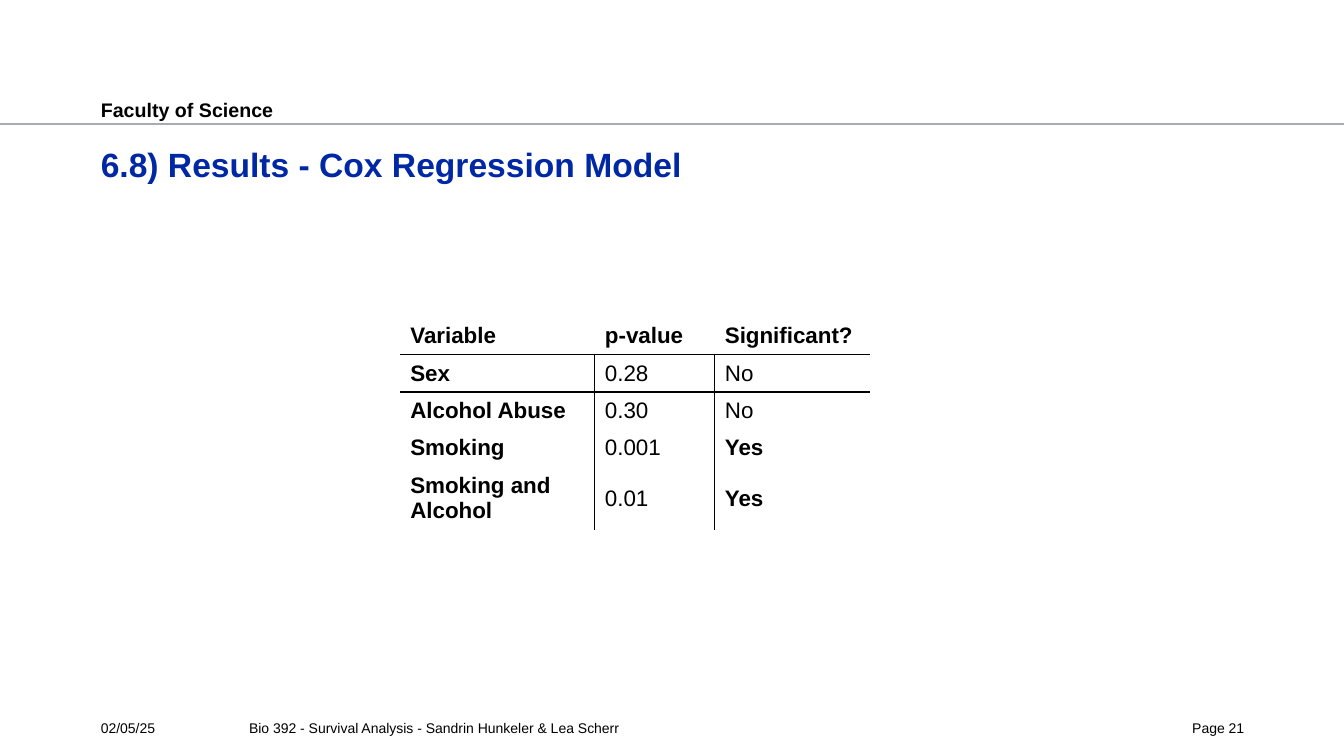
from pptx import Presentation
from pptx.dml.color import RGBColor
from pptx.enum.shapes import MSO_CONNECTOR
from pptx.enum.text import MSO_ANCHOR, PP_ALIGN
from pptx.oxml.ns import qn
from pptx.util import Inches, Pt
from lxml.etree import SubElement

COLORS = {"text": "000000", "title": "0028A5", "rule": "A3ADB7"}
FONT = "Arial"
NO_STYLE = "{2D5ABB26-0587-4C30-8999-92F81FD0307C}"


def add_run(paragraph, text, size, bold=False, color="text"):
    run = paragraph.add_run()
    run.text = text
    run.font.name = FONT
    run.font.size = Pt(size)
    run.font.bold = bold
    run.font.color.rgb = RGBColor.from_string(COLORS[color])


def add_border(cell, side):
    """Draw a 1 pt line on one side (L, R, T or B) of a table cell."""
    border = SubElement(cell._tc.get_or_add_tcPr(), qn(f"a:ln{side}"), w=str(Pt(1)))
    fill = SubElement(border, qn("a:solidFill"))
    SubElement(fill, qn("a:srgbClr"), val=COLORS["text"])


prs = Presentation()
prs.slide_width, prs.slide_height = Inches(13.33), Inches(7.5)
slide = prs.slides.add_slide(prs.slide_layouts[6])

# Header rule
header_rule = slide.shapes.add_connector(
    MSO_CONNECTOR.STRAIGHT, 0, Inches(1.23), prs.slide_width, Inches(1.23))
header_rule.line.color.rgb = RGBColor.from_string(COLORS["rule"])
header_rule.line.width = Pt(1.25)
SubElement(header_rule._element.spPr, qn("a:effectLst"))

# Header, title and footer: text, box, top inset, size, bold, color, alignment
captions = [
    ("Faculty of Science", (1, 0.93, 8.02, 0.25), 0.04, 14, True, "text", PP_ALIGN.LEFT),
    ("6.8) Results - Cox Regression Model", (1, 1.39, 11.34, 0.87), 0.04, 24, True, "title",
     PP_ALIGN.LEFT),
    ("02/05/25", (1, 7.14, 1.36, 0.24), 0, 10, False, "text", PP_ALIGN.LEFT),
    ("Bio 392 - Survival Analysis - Sandrin Hunkeler & Lea Scherr", (2.47, 7.14, 7.66, 0.24),
     0, 10, False, "text", PP_ALIGN.LEFT),
    ("Page 21", (11.43, 7.14, 0.91, 0.24), 0, 10, False, "text", PP_ALIGN.RIGHT),
]
for text, box, top_inset, size, bold, color, alignment in captions:
    frame = slide.shapes.add_textbox(*map(Inches, box)).text_frame
    frame.word_wrap = True
    frame.margin_left = frame.margin_right = frame.margin_bottom = 0
    frame.margin_top = Inches(top_inset)
    frame.paragraphs[0].alignment = alignment
    add_run(frame.paragraphs[0], text, size, bold, color)

# Cox regression results
results = [
    ("Variable", "p-value", "Significant?"),
    ("Sex", "0.28", "No"),
    ("Alcohol Abuse", "0.30", "No"),
    ("Smoking", "0.001", "Yes"),
    ("Smoking and Alcohol", "0.01", "Yes"),
]
column_widths = [1.93, 1.19, 1.54]
row_heights = [0.37, 0.37, 0.37, 0.37, 0.63]
table = slide.shapes.add_table(
    len(results), len(column_widths), Inches(3.97), Inches(3.15),
    Inches(sum(column_widths)), Inches(sum(row_heights))).table
table.horz_banding = False
table.first_row = False
table._tbl.tblPr.find(qn("a:tableStyleId")).text = NO_STYLE
for column, width in zip(table.columns, column_widths):
    column.width = Inches(width)
for row, height in zip(table.rows, row_heights):
    row.height = Inches(height)

for r, result in enumerate(results):
    for c, text in enumerate(result):
        cell = table.cell(r, c)
        cell.vertical_anchor = MSO_ANCHOR.MIDDLE
        bold = r == 0 or c == 0 or text == "Yes"
        add_run(cell.text_frame.paragraphs[0], text, 16, bold)
        if r > 0 and c == 1:
            add_border(cell, "L")
        if r > 0 and c == 0:
            add_border(cell, "R")
        if r == 1:
            add_border(cell, "T")
        if r == 0:
            add_border(cell, "B")
        cell.fill.background()

prs.save("out.pptx")
